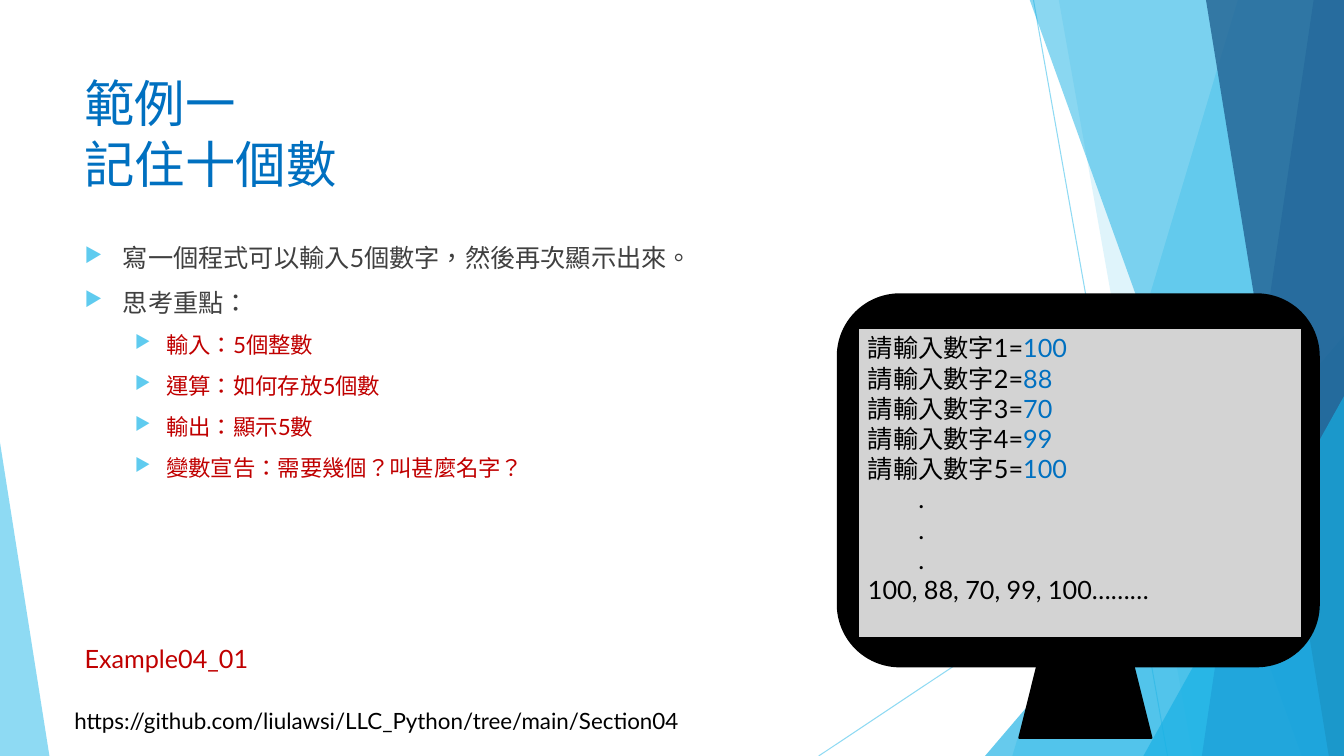
from pptx import Presentation
from pptx.util import Inches, Pt
from pptx.dml.color import RGBColor
from pptx.enum.shapes import MSO_CONNECTOR, MSO_SHAPE as Preset
from pptx.enum.text import MSO_ANCHOR, MSO_AUTO_SIZE, PP_ALIGN
from pptx.oxml.ns import qn
from lxml.etree import SubElement

# Content
TITLE = ["範例一", "記住十個數"]
BODY = [  # level, text
    (0, "寫一個程式可以輸入5個數字，然後再次顯示出來。"),
    (0, "思考重點："),
    (1, "輸入：5個整數"),
    (1, "運算：如何存放5個數"),
    (1, "輸出：顯示5數"),
    (1, "變數宣告：需要幾個？叫甚麼名字？"),
]
INPUTS = [100, 88, 70, 99, 100]
DOT_LINES = 3
OUTPUT = "100, 88, 70, 99, 100………"
EXAMPLE = "Example04_01"
LINK = "https://github.com/liulawsi/LLC_Python/tree/main/Section04"


class Theme:
    font = "Lato"
    black, screen = "000000", "D3D3D3"
    blue, red, grey = "0070C0", "C00000", "404040"
    sky, cyan, steel, navy = "5FCBEF", "17B0E4", "2E83C3", "226292"
    title_size, text_size, small_size = 36, 18, 16
    level_style = [(text_size, grey, 0.38, -0.38), (small_size, red, 0.81, -0.31)]


WIDTH, HEIGHT, TOP = 13.33, 7.5, -0.01

# Background: facets run from a slanted left edge to the right side of the slide
RAYS = [((10.25, 0), (11.58, HEIGHT)), ((WIDTH, 4.03), (8.12, HEIGHT))]
FACETS = [  # kind, geometry, colour, opacity in percent
    ("band", (12.28, 10.04), Theme.sky, 36),
    ("band", (10.5, 11.83), Theme.sky, 20),
    ("triangle", (9.77, 3.33, 3.56, 1), Theme.cyan, 66),
    ("band", (10.21, 12.91), Theme.cyan, 50),
    ("band", (13.03, 11.92), Theme.steel, 70),
    ("band", (11.96, 13.18), Theme.navy, 80),
    ("triangle", (11.34, 3.93, 1.99, 1), Theme.cyan, 66),
    ("triangle", (0, 4.39, 0.49, 0), Theme.sky, 70),
]

deck = Presentation()
deck.slide_width, deck.slide_height = Inches(WIDTH), Inches(HEIGHT)
page = deck.slides.add_slide(deck.slide_layouts[6])


def paint(shape, colour, line=None, opacity=100):
    shape.shadow.inherit = False
    shape.fill.solid()
    shape.fill.fore_color.rgb = RGBColor.from_string(colour)
    if opacity < 100:
        set_opacity(shape, opacity)
    if line:
        shape.line.color.rgb = RGBColor.from_string(line)
        shape.line.width = Pt(1.5)
    else:
        shape.line.fill.background()


def set_opacity(shape, percent):
    colour = next(shape._element.spPr.iter(qn("a:srgbClr")))
    SubElement(colour, qn("a:alpha"), val=str(percent * 1000))


def add_span(para, text, size, colour):
    span = para.add_run()
    span.text = text
    span.font.name, span.font.size = Theme.font, Pt(size)
    span.font.color.rgb = RGBColor.from_string(colour)
    span._r.get_or_add_rPr().set("lang", "zh-TW")


def add_box(left, top, width, height, wrap=True):
    box = page.shapes.add_textbox(*map(Inches, (left, top, width, height)))
    box.text_frame.word_wrap = wrap
    return box.text_frame


def paragraphs(frame, items):
    for number, item in enumerate(items):
        yield frame.add_paragraph() if number else frame.paragraphs[0], item


def add_bullet(para, left, hanging):
    props = para._p.get_or_add_pPr()
    props.set("marL", str(Inches(left)))
    props.set("indent", str(Inches(hanging)))
    colour = SubElement(props, qn("a:buClr"))
    SubElement(colour, qn("a:srgbClr"), val=Theme.sky)
    SubElement(props, qn("a:buSzPct"), val="80000")
    SubElement(props, qn("a:buChar"), char="▶")


# Background
backdrop = page.shapes.add_group_shape().shapes
for start, end in RAYS:
    ray = backdrop.add_connector(MSO_CONNECTOR.STRAIGHT, *map(Inches, start + end))
    ray.line.color.rgb = RGBColor.from_string(Theme.sky)
    ray.line.width = Pt(0.75)
    set_opacity(ray, 70)
    SubElement(ray._element.spPr, qn("a:effectLst"))

for kind, geometry, colour, opacity in FACETS:
    if kind == "band":
        upper, lower = geometry
        outline = backdrop.build_freeform(Inches(upper), Inches(TOP))
        corners = [(WIDTH, TOP), (WIDTH, HEIGHT), (lower, HEIGHT)]
        outline.add_line_segments([(Inches(x), Inches(y)) for x, y in corners])
        facet = outline.convert_to_shape()
    else:
        left, top, width, apex = geometry
        facet = backdrop.add_shape(Preset.ISOSCELES_TRIANGLE, *map(
            Inches, (left, top, width, HEIGHT - top)))
        facet.adjustments[0] = apex
    paint(facet, colour, opacity=opacity)

# Link
frame = add_box(0.64, 6.97, 7.54, 0.37)
add_span(frame.paragraphs[0], LINK, Theme.small_size, Theme.black)

# Title
frame = add_box(0.74, 0.67, 9.4, 1.44)
para = frame.paragraphs[0]
for number, line in enumerate(TITLE):
    if number:
        para.add_line_break()
    add_span(para, line, Theme.title_size, Theme.blue)

# Bulleted body
frame = add_box(0.74, 2.36, 7.4, 4.24)
for number, (para, (level, text)) in enumerate(paragraphs(frame, BODY)):
    size, colour, left, hanging = Theme.level_style[level]
    para.level = level
    add_bullet(para, left, hanging)
    para.space_before = Pt(10 if number else 0)
    add_span(para, text, size, colour)

# Monitor
monitor = page.shapes.add_group_shape().shapes
MONITOR_PARTS = [
    (Preset.ROUNDED_RECTANGLE, (8.31, 2.92, 4.77, 3.69), Theme.black),
    (Preset.RECTANGLE, (8.51, 3.25, 4.4, 3.08), Theme.screen),
    (Preset.TRAPEZOID, (10.11, 6.61, 1.31, 0.71), Theme.black),
]
casing, screen, stand = [
    monitor.add_shape(preset, *map(Inches, place)) for preset, place, _ in MONITOR_PARTS]
for part, (_, _, colour) in zip((casing, screen, stand), MONITOR_PARTS):
    paint(part, colour, line=Theme.black)

# Screen text: prompts with answers, dots, then the output line
console = [[(f"請輸入數字{number}=", Theme.black), (str(value), Theme.blue)]
           for number, value in enumerate(INPUTS, 1)]
console += [[("\t.", Theme.black)]] * DOT_LINES + [[(OUTPUT, Theme.black)]]
frame = screen.text_frame
frame.word_wrap, frame.vertical_anchor = True, MSO_ANCHOR.TOP
for para, line in paragraphs(frame, console):
    para.alignment = PP_ALIGN.LEFT
    tabs = SubElement(para._p.get_or_add_pPr(), qn("a:tabLst"))
    SubElement(tabs, qn("a:tab"), pos=str(Inches(0.5)), algn="l")
    for text, colour in line:
        add_span(para, text, Theme.text_size, colour)

# Example name
frame = add_box(0.74, 6.33, 1.83, 0.4, wrap=False)
frame.auto_size = MSO_AUTO_SIZE.SHAPE_TO_FIT_TEXT
add_span(frame.paragraphs[0], EXAMPLE, Theme.text_size, Theme.red)

deck.save("out.pptx")
